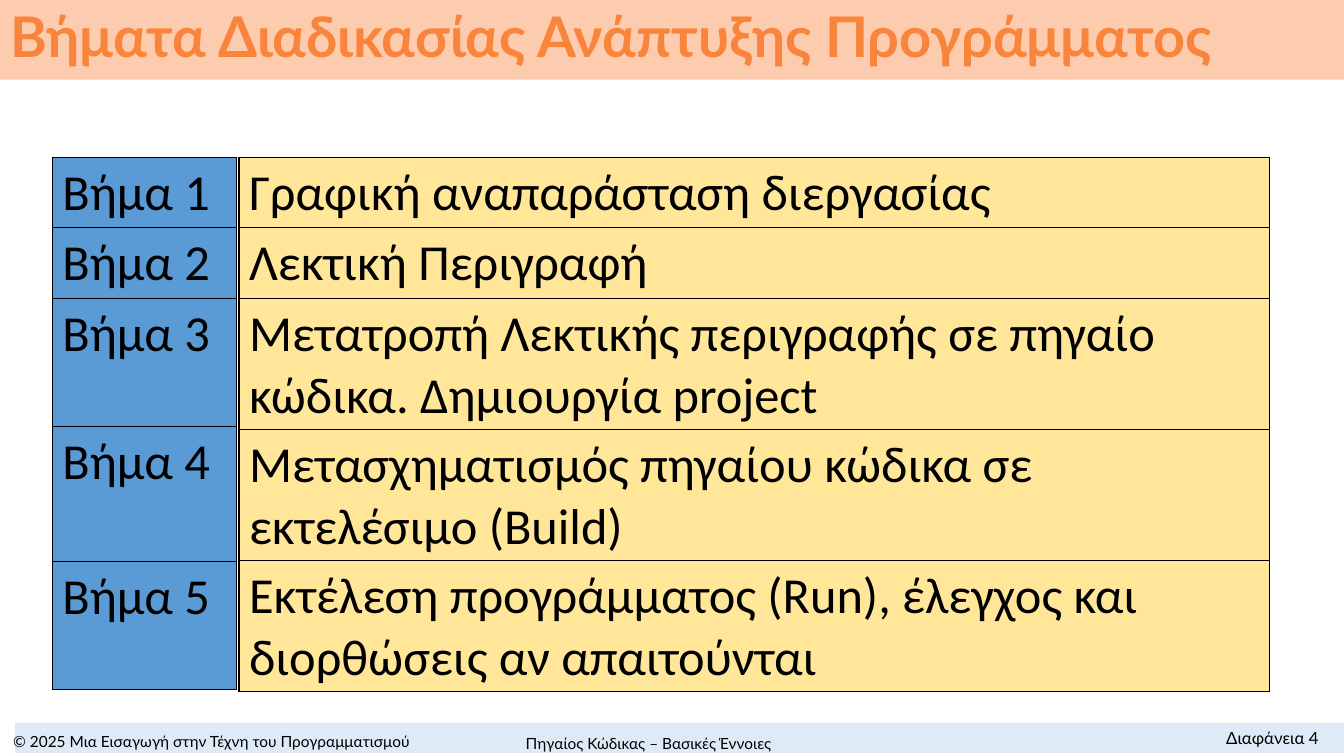
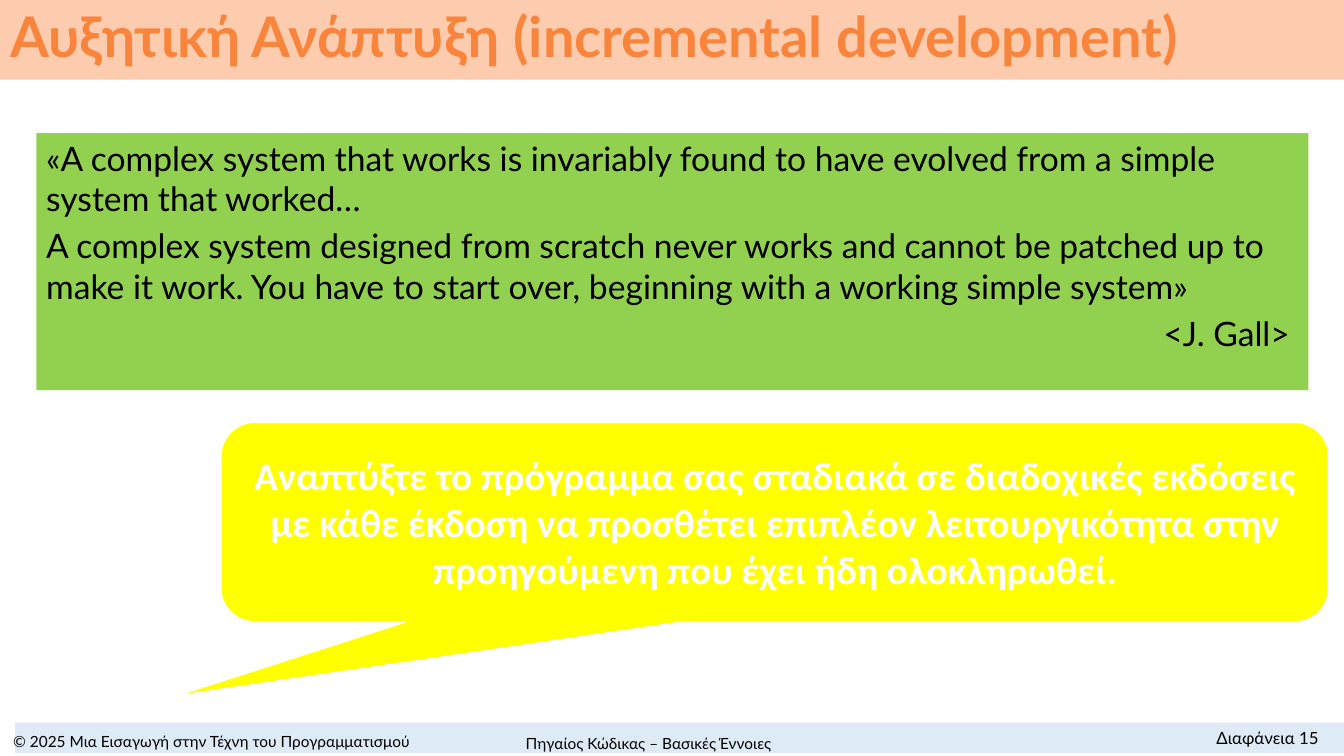
from lxml import etree
from pptx import Presentation, util as u
from pptx.dml.color import RGBColor
from pptx.enum import shapes, text
from pptx.oxml import ns

ORANGE, PEACH, PALE_BLUE = "F9853D", "FDCBAD", "DEEBF7"
BLUE, SAND, GREEN, YELLOW = "5B9BD5", "FFE699", "92D050", "FFFF00"
BLACK, WHITE = "000000", "FFFFFF"
LEFT, CENTER, RIGHT = text.PP_ALIGN.LEFT, text.PP_ALIGN.CENTER, text.PP_ALIGN.RIGHT
TOP, MIDDLE = text.MSO_ANCHOR.TOP, text.MSO_ANCHOR.MIDDLE
color = RGBColor.from_string

deck = Presentation()
deck.slide_width, deck.slide_height = u.Inches(13.33), u.Inches(7.5)


def area(left, top, width, height):
    """Turn percentages of the slide's size into lengths."""
    column, row = deck.slide_width / 100, deck.slide_height / 100
    return [int(n) for n in (left * column, top * row, width * column, height * row)]


def write(frame, lines, ink, anchor=TOP, **font):
    """Fill a text frame with (text, alignment) lines in one font."""
    frame.word_wrap = True
    frame.vertical_anchor = anchor
    for i, (line, align) in enumerate(lines):
        paragraph = frame.paragraphs[0] if i == 0 else frame.add_paragraph()
        paragraph.text, paragraph.alignment = line, align
        paragraph.font.color.rgb = color(ink)
        for key, value in font.items():
            setattr(paragraph.font, key, value)


# Title, bands and footers shared by all slides
pages = []
for heading, number in [("Βήματα Διαδικασίας Ανάπτυξης Προγράμματος", 4),
                        ("Αυξητική Ανάπτυξη (incremental development)", 15)]:
    slide = deck.slides.add_slide(deck.slide_layouts[5])
    pages.append(slide)

    title = slide.shapes.title
    title.left, title.top, title.width, title.height = area(0, 0, 100, 10.53)
    title.fill.solid()
    title.fill.fore_color.rgb = color(PEACH)
    write(title.text_frame, [(heading, LEFT)], ORANGE, MIDDLE,
          name="Lato", size=u.Pt(40), bold=True)
    title.text_frame.auto_size = text.MSO_AUTO_SIZE.NONE
    title.text_frame.paragraphs[0].line_spacing = 0.9

    strip = slide.shapes.add_shape(shapes.MSO_SHAPE.RECTANGLE, *area(1.13, 95.6, 98.87, 4))
    strip.shadow.inherit = False
    strip.fill.solid()
    strip.fill.fore_color.rgb = color(PALE_BLUE)
    strip.line.fill.background()

    for label, place, align, anchor, size in [
            ("© 2025 Μια Εισαγωγή στην Τέχνη του Προγραμματισμού",
             (0, 96.27, 31.5, 3.47), CENTER, MIDDLE, 11),
            ("Πηγαίος Κώδικας – Βασικές Έννοιες",
             (34.05, 96.4, 28.43, 3.73), CENTER, MIDDLE, 11),
            (f"Διαφάνεια {number}", (83.4, 95.6, 15.45, 4), RIGHT, TOP, 12)]:
        footer = slide.shapes.add_textbox(*area(*place))
        write(footer.text_frame, [(label, align)], BLACK, anchor, name="Lato", size=u.Pt(size))

steps_slide, incremental_slide = pages

# Development steps: numbers on the left, descriptions on the right
step_names = [f"Βήμα {n}" for n in range(1, 6)]
step_details = [
    "Γραφική αναπαράσταση διεργασίας",
    "Λεκτική Περιγραφή",
    "Μετατροπή Λεκτικής περιγραφής σε πηγαίο κώδικα. Δημιουργία project",
    "Μετασχηματισμός πηγαίου κώδικα σε εκτελέσιμο (Build)",
    "Εκτέλεση προγράμματος (Run), έλεγχος και διορθώσεις αν απαιτούνται",
]
for entries, left, width, heights, fill in [
        (step_names, 3.9, 13.73, (9.33, 9.33, 16.93, 17.87, 16.93), BLUE),
        (step_details, 17.78, 76.65, (9.33, 9.33, 17.33, 17.33, 17.33), SAND)]:
    steps = steps_slide.shapes.add_table(
        len(entries), 1, *area(left, 20.8, width, sum(heights))).table
    steps.first_row = steps.horz_banding = False
    for row, entry, height in zip(steps.rows, entries, heights):
        row.height = area(0, 0, 0, height)[3]
        cell = row.cells[0]
        write(cell.text_frame, [(entry, LEFT)], BLACK, name="Calibri", size=u.Pt(36))
        borders = cell._tc.get_or_add_tcPr()
        for side in ("a:lnL", "a:lnR", "a:lnT", "a:lnB"):
            border = etree.SubElement(borders, ns.qn(side), w=str(u.Pt(1)))
            ink = etree.SubElement(border, ns.qn("a:solidFill"))
            etree.SubElement(ink, ns.qn("a:srgbClr"), val=BLACK)
        cell.fill.solid()
        cell.fill.fore_color.rgb = color(fill)

# Quotation
quote = incremental_slide.shapes.add_shape(
    shapes.MSO_SHAPE.RECTANGLE, *area(2.7, 17.6, 94.65, 34))
quote.shadow.inherit = False
quote.fill.solid()
quote.fill.fore_color.rgb = color(GREEN)
quote.line.fill.background()
write(quote.text_frame, [
    ("«A complex system that works is invariably found to have evolved from a simple "
     "system that worked…", LEFT),
    ("A complex system designed from scratch never works and cannot be patched up to "
     "make it work. You have to start over, beginning with a working simple system»", LEFT),
    ("<J. Gall> ", RIGHT),
], BLACK, name="Lato", size=u.Pt(24))
for paragraph in quote.text_frame.paragraphs[1:]:
    paragraph.space_before = u.Pt(4.8)

# Advice
advice = incremental_slide.shapes.add_shape(
    shapes.MSO_SHAPE.ROUNDED_RECTANGULAR_CALLOUT, *area(16.43, 55.87, 82.43, 26.4))
advice.shadow.inherit = False
for i, share in enumerate((-0.54, 0.87, 0.17)):
    advice.adjustments[i] = share
advice.fill.solid()
advice.fill.fore_color.rgb = color(YELLOW)
advice.line.color.rgb = color(WHITE)
advice.line.width = u.Pt(1)
write(advice.text_frame, [
    ("Αναπτύξτε το πρόγραμμα σας σταδιακά σε διαδοχικές εκδόσεις με κάθε έκδοση να "
     "προσθέτει επιπλέον λειτουργικότητα στην προηγούμενη που έχει ήδη ολοκληρωθεί.", CENTER),
], WHITE, MIDDLE, name="Calibri", size=u.Pt(28), bold=True)

deck.save("out.pptx")
